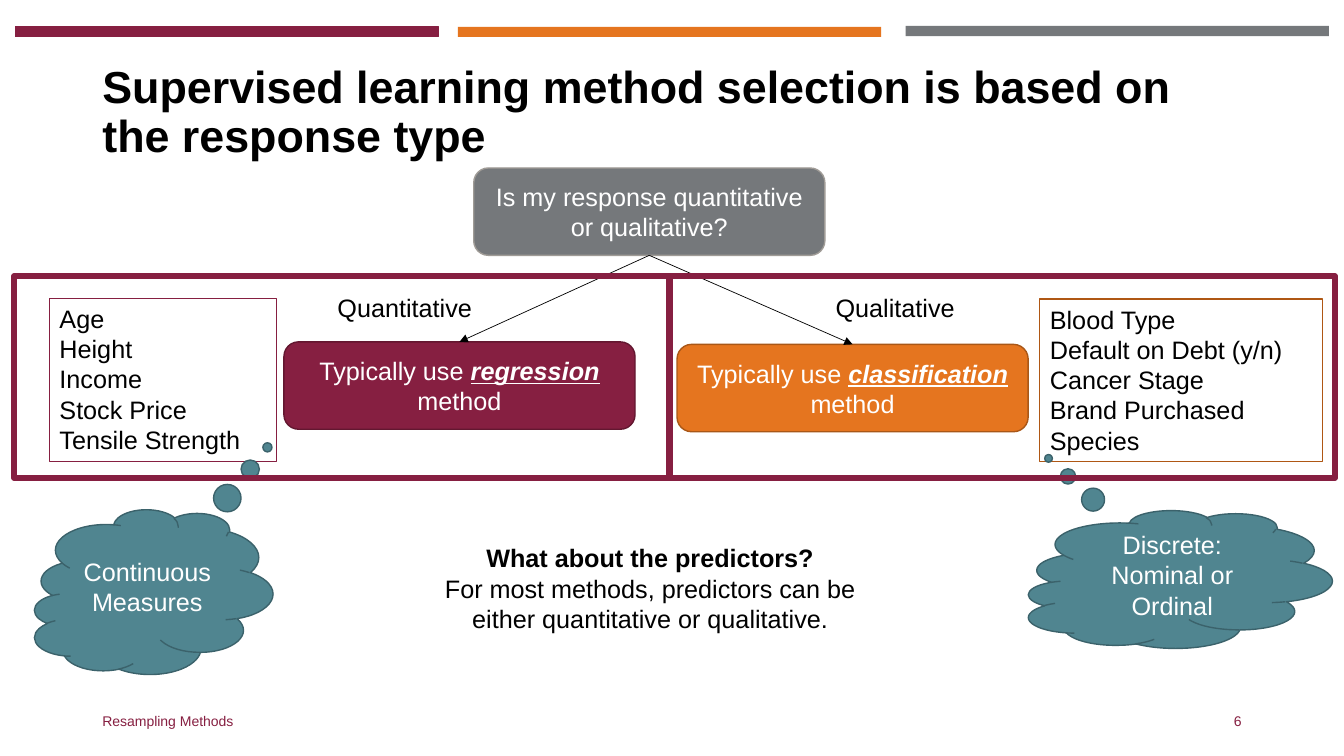
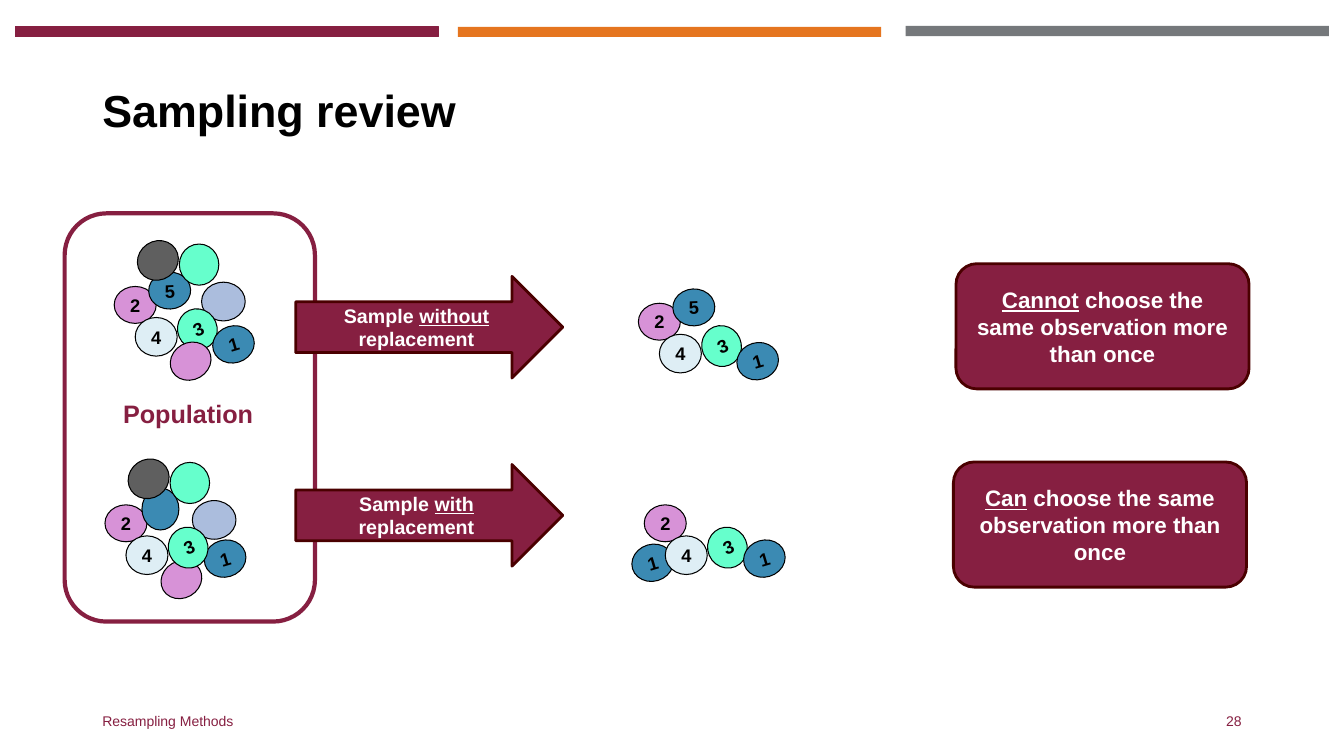
from lxml.etree import SubElement
from pptx import Presentation
from pptx.dml.color import RGBColor
from pptx.enum.shapes import MSO_CONNECTOR, MSO_SHAPE
from pptx.enum.text import MSO_ANCHOR, PP_ALIGN
from pptx.oxml.ns import qn
from pptx.util import Inches, Pt

MAROON, ORANGE, GREY, TEAL = "861F41", "E5751F", "75787B", "508590"
BLACK, WHITE, DARK_RED = "000000", "FFFFFF", "4A0000"
FONT = "Arial"
LEFT, CENTER, RIGHT = PP_ALIGN.LEFT, PP_ALIGN.CENTER, PP_ALIGN.RIGHT

deck = Presentation()
deck.slide_width, deck.slide_height = Inches(13.33), Inches(7.5)
COLUMN, ROW = deck.slide_width / 160, deck.slide_height / 90


def draw(slide, kind, box, fill=None, line=None, weight=1):
    left, top, width, height = box
    frame = [round(n) for n in (left * COLUMN, top * ROW, width * COLUMN, height * ROW)]
    if kind is None:
        return slide.shapes.add_textbox(*frame)
    shape = slide.shapes.add_shape(kind, *frame)
    shape.shadow.inherit = False
    for part, colour in ((shape.fill, fill), (shape.line.fill, line)):
        if colour:
            part.solid()
            part.fore_color.rgb = RGBColor.from_string(colour)
        else:
            part.background()
    if line:
        shape.line.width = Pt(weight)
    return shape


def write(shape, lines, size=18, colour=BLACK, align=CENTER, bold=False,
          anchor=MSO_ANCHOR.MIDDLE, emphasis=("underline",)):
    frame = shape.text_frame
    frame.word_wrap = True
    frame.vertical_anchor = anchor
    for number, line in enumerate(lines):
        paragraph = frame.add_paragraph() if number else frame.paragraphs[0]
        paragraph.alignment = align
        font = paragraph.font
        font.name, font.size, font.bold = FONT, Pt(size), bold
        font.color.rgb = RGBColor.from_string(colour)
        for position, piece in enumerate(line.split("_")):
            if piece:
                run = paragraph.add_run()
                run.text = piece
                if position % 2:
                    for trait in emphasis:
                        setattr(run.font, trait, True)
    return frame.paragraphs


slides = []
for title, number in (
    ("Supervised learning method selection is based on the response type", "6"),
    ("Sampling review", "28"),
):
    slide = deck.slides.add_slide(deck.slide_layouts[6])
    slides.append(slide)
    for left, top, colour, edge in (
        (1.8, 3.2, MAROON, MAROON),
        (107.8, 3.1, GREY, None),
        (54.5, 3.2, ORANGE, None),
    ):
        draw(slide, MSO_SHAPE.RECTANGLE, (left, top, 50.4, 1.2), colour, edge, 0.75)
    heading = write(draw(slide, None, (11, 4.8, 138, 17.4)), [title], 32, align=LEFT, bold=True)
    heading[0].line_spacing = 0.9
    write(draw(slide, None, (11, 83.4, 54, 4.8)), ["Resampling Methods"], 10, MAROON, LEFT)
    write(draw(slide, None, (113, 83.4, 36, 4.8)), [number], 10, MAROON, RIGHT)

selection, sampling = slides

question = draw(selection, MSO_SHAPE.ROUNDED_RECTANGLE, (56.4, 20, 41.8, 10.4), GREY, "9F9B96")
write(question, ["Is my response quantitative or qualitative?"], colour=WHITE)

for left, top, fill, edge, method, answer, answer_left in (
    (33.8, 40.7, MAROON, "631730", "regression", "Quantitative", 39),
    (80.6, 41, ORANGE, "A95717", "classification", "Qualitative", 98.3),
):
    advice = draw(selection, MSO_SHAPE.ROUNDED_RECTANGLE, (left, top, 41.8, 10.4), fill, edge)
    write(advice, [f"Typically use _{method}_ method"], colour=WHITE,
          emphasis=("bold", "italic", "underline"))
    branch = selection.shapes.add_connector(MSO_CONNECTOR.STRAIGHT, 0, 0, 0, 0)
    branch.begin_connect(question, 2)
    branch.end_connect(advice, 0)
    branch.line.width = Pt(0.5)
    branch.line.color.rgb = RGBColor.from_string(BLACK)
    SubElement(branch.line._get_or_add_ln(), qn("a:tailEnd"), type="triangle")
    SubElement(branch._element.spPr, qn("a:effectLst"))
    write(draw(selection, None, (answer_left, 34.2, 24.6, 4.8)), [answer],
          align=LEFT, anchor=MSO_ANCHOR.TOP)

for box, edge, examples in (
    ((5.9, 35.5, 27, 19.4), MAROON,
     ["Age", "Height", "Income", "Stock Price", "Tensile Strength"]),
    ((123.8, 35.6, 33.7, 19.4), "AF5714",
     ["Blood Type", "Default on Debt (y/n)", "Cancer Stage", "Brand Purchased", "Species"]),
):
    write(draw(selection, MSO_SHAPE.RECTANGLE, box, None, edge, 0.75), examples,
          align=LEFT, anchor=MSO_ANCHOR.TOP)

predictors = write(
    draw(selection, None, (37.4, 64, 80, 12.1)),
    ["What about the predictors?", "For most methods, predictors can be",
     "either quantitative or qualitative."],
    anchor=MSO_ANCHOR.TOP)
predictors[0].font.bold = True

for box, pointer, thought in (
    ((8.4, 56.3, 19.6, 28.4), (-0.88, 0.48), "Continuous Measures"),
    ((132.2, 50.9, 16.4, 36.2), (-0.88, -0.43), "Discrete: Nominal or Ordinal"),
):
    cloud = draw(selection, MSO_SHAPE.CLOUD_CALLOUT, box, TEAL, "3B626B")
    cloud.adjustments[0], cloud.adjustments[1] = pointer
    cloud.rotation = 270
    cloud._element.spPr.xfrm.set("flipH", "1")
    write(cloud, [thought], colour=WHITE)
    cloud.text_frame._txBody.bodyPr.set("vert", "vert")

for left, width in ((1.7, 78), (79.7, 79.2)):
    draw(selection, MSO_SHAPE.RECTANGLE, (left, 32.9, width, 24), None, MAROON, 4.5)

draw(sampling, MSO_SHAPE.ROUNDED_RECTANGLE, (7.7, 25.4, 29.8, 48.6), None, MAROON, 3)
write(draw(sampling, None, (13.1, 46.8, 18.6, 4.8)), ["Population"], 18, MAROON,
      bold=True, anchor=MSO_ANCHOR.TOP)

for arrow_top, scheme, rule_left, rule_top, permission in (
    (32.9, "without", 113.8, 31.4, "Cannot"),
    (55.3, "with", 113.5, 55, "Can"),
):
    arrow = draw(sampling, MSO_SHAPE.RIGHT_ARROW, (35.2, arrow_top, 31.8, 12.1),
                 MAROON, DARK_RED, 2)
    write(arrow, [f"Sample _{scheme}_ replacement"], 14, WHITE, bold=True)
    rule = draw(sampling, MSO_SHAPE.ROUNDED_RECTANGLE, (rule_left, rule_top, 34.9, 14.9),
                MAROON, DARK_RED, 2)
    write(rule, [f"_{permission}_ choose the same observation more than once"], 16, WHITE,
          bold=True)

BLUE, PLUM, MINT, ICE = "3B8AB3", "D792D7", "66FFCC", "DEEEF5"
balls = {
    "lavender": ("", "ABBDDD", 26.6, 35.9, 5.2, 4.6, 0),
    "two": ("2", PLUM, 16.1, 36.3, 5, 4.4, 0),
    "three": ("3", MINT, 23.5, 39.2, 4.7, 4.9, 337.3),
    "five": ("5", BLUE, 20.2, 34.6, 5, 4.4, 357.3),
    "blue": ("", BLUE, 20.2, 34.6, 4.4, 5, 0),
    "grey": ("", "5F5F5F", 18.8, 31, 5, 4.6, 325.7),
    "four": ("4", ICE, 18.6, 40.1, 5, 4.6, 0),
    "plum": ("", PLUM, 22.7, 43, 5, 4.4, 330.1),
    "mint": ("", MINT, 23.7, 31.5, 4.7, 4.9, 0),
    "one": ("1", BLUE, 27.8, 41, 5, 4.4, 343.5),
    "one raised": ("1", BLUE, 27.9, 40.5, 5, 4.4, 343.5),
    "one repeated": ("1", BLUE, 14.6, 41, 5, 4.4, 343.5),
}
for shift, drop, members in (
    (0, 0, ("lavender", "two", "three", "five", "grey", "four", "plum", "mint", "one")),
    (-1.1, 26, ("lavender", "two", "blue", "grey", "four", "plum", "mint", "one raised", "three")),
    (62.4, 2, ("two", "three", "five", "four", "one")),
    (63.1, 26, ("one repeated", "two", "three", "four", "one raised")),
):
    for member in members:
        label, fill, column, row, width, height, turn = balls[member]
        ball = draw(sampling, MSO_SHAPE.OVAL,
                    (column + shift - width / 2, row + drop - height / 2, width, height),
                    fill, BLACK, 0.75)
        ball.rotation = turn
        if label:
            write(ball, [label], 13, bold=True)

deck.save("out.pptx")
